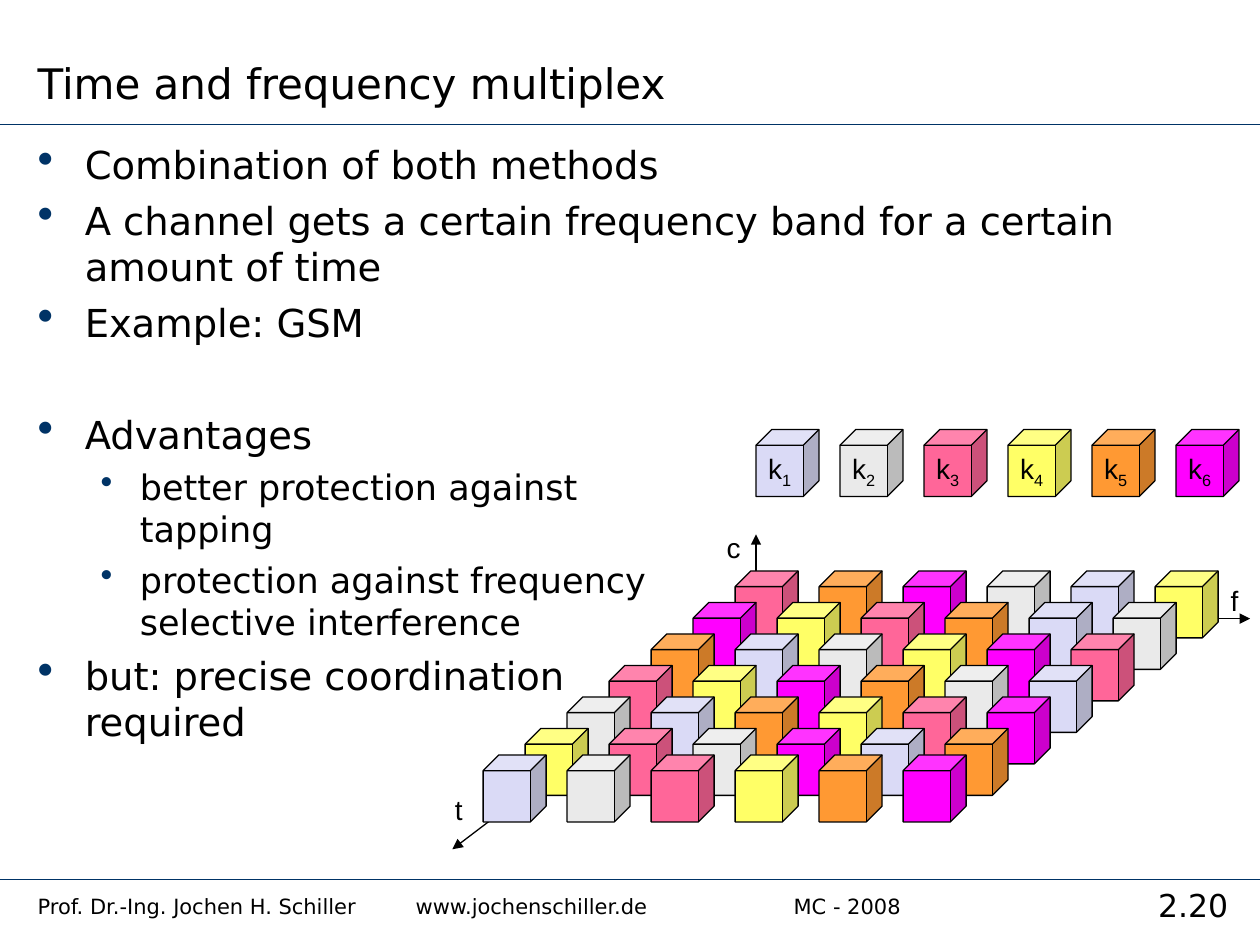
from dataclasses import dataclass

from lxml import etree
from pptx import Presentation
from pptx import util as u
from pptx.dml.color import RGBColor
from pptx.enum import shapes, text
from pptx.oxml import ns


@dataclass(frozen=True)
class Theme:
    ink: str = "000000"
    accent: str = "003366"
    channels: tuple = ("DADAF6", "EAEAEA", "FF6699", "FFFF66", "FF9933", "FF00FF")
    body_font: str = "DejaVu Sans"
    label_font: str = "Arial"
    title_size: float = 24
    bullet_sizes: tuple = (22, 20)
    number_size: float = 18
    label_size: float = 16
    footer_size: float = 12
    rule_width: float = 1
    outline_width: float = 0.75


THEME = Theme()
CUBE_PITCH = 5.08 / 3
CUBE_SIZE = (1.27, 1.35)
CHANNEL_ROWS = ("356214", "643512", "512463", "346521", "215436", "432615", "123456")
BULLETS = (
    (0, "Combination of both methods", 0),
    (0, "A channel gets a certain frequency band for a certain amount of time", 5.5),
    (0, "Example: GSM", 5.5),
    (0, "Advantages", 37.5),
    (1, "better protection against\vtapping", 5),
    (1, "protection against frequency\vselective interference", 5),
    (0, "but: precise coordination\vrequired", 5.5),
)
BULLET_LEVELS = (
    {"margin": 0.95, "hanging": 0.95, "percent": 120},
    {"margin": 2.06, "hanging": 0.79, "percent": 100},
)


def apply(target, **values):
    for name, value in values.items():
        setattr(target, name, value)


def style_font(font, size, name):
    apply(font, size=u.Pt(size), name=name)
    font.color.rgb = RGBColor.from_string(THEME.ink)


def add_element(parent, tag, **attributes):
    element = etree.SubElement(parent, ns.qn(tag))
    for name, value in attributes.items():
        element.set(name, str(value))
    return element


def add_text(slide, box, content, size, name, **frame_format):
    shape = slide.shapes.add_textbox(*map(u.Cm, box))
    apply(shape.text_frame, **{"word_wrap": True, **frame_format})
    paragraph = shape.text_frame.paragraphs[0]
    paragraph.text = content
    style_font(paragraph.font, size, name)
    return shape


def add_line(slide, start, end, color, width, arrow=False):
    connector = slide.shapes.add_connector(
        shapes.MSO_CONNECTOR.STRAIGHT, *map(u.Cm, start + end))
    connector.line.color.rgb = RGBColor.from_string(color)
    connector.line.width = u.Pt(width)
    if arrow:
        add_element(connector.line._get_or_add_ln(), "a:tailEnd", type="triangle")
    add_element(connector._element.spPr, "a:effectLst")


def add_cube(slide, left, top, channel):
    shape = slide.shapes.add_shape(
        shapes.MSO_SHAPE.CUBE, *map(u.Cm, (left, top) + CUBE_SIZE))
    shape.shadow.inherit = False
    shape.fill.solid()
    shape.fill.fore_color.rgb = RGBColor.from_string(THEME.channels[channel - 1])
    shape.line.color.rgb = RGBColor.from_string(THEME.ink)
    shape.line.width = u.Pt(THEME.outline_width)
    return shape


def add_legend(slide, left, top):
    for channel in range(1, len(THEME.channels) + 1):
        cube = add_cube(slide, left + (channel - 1) * CUBE_PITCH, top, channel)
        apply(cube.text_frame, word_wrap=False, vertical_anchor=text.MSO_ANCHOR.MIDDLE)
        paragraph = cube.text_frame.paragraphs[0]
        paragraph.alignment = text.PP_ALIGN.CENTER
        for content, baseline in (("k", 0), (str(channel), -25000)):
            run = paragraph.add_run()
            run.text = content
            style_font(run.font, THEME.label_size, THEME.label_font)
            if baseline:
                run._r.get_or_add_rPr().set("baseline", str(baseline))


def add_cube_field(slide, left, top):
    row_step, front_offset = 2.54 / 4, 3.71
    for row, channels in enumerate(CHANNEL_ROWS):
        row_top = top + min(row * row_step, front_offset)
        for column, channel in enumerate(channels):
            add_cube(slide, left + (column - row / 2) * CUBE_PITCH, row_top, int(channel))


def add_axes(slide):
    origin = (15.24, 12.47)
    for name, end, label_box in (
        ("f", (25.2, 12.47), (24.56, 11.63, 0.66, 0.94)),
        ("t", (9.12, 17.12), (8.92, 15.85, 0.66, 0.94)),
        ("c", (15.24, 10.77), (14.4, 10.57, 0.79, 0.94)),
    ):
        add_line(slide, origin, end, THEME.ink, THEME.outline_width, arrow=True)
        add_text(slide, label_box, name, THEME.label_size, THEME.label_font, word_wrap=False)


def add_bullets(slide, box):
    frame = slide.shapes.add_textbox(*map(u.Cm, box)).text_frame
    frame.word_wrap = True
    for index, (level, content, space) in enumerate(BULLETS):
        paragraph = frame.add_paragraph() if index else frame.paragraphs[0]
        apply(paragraph, text=content, level=level)
        if space:
            paragraph.space_before = u.Pt(space)
        layout = BULLET_LEVELS[level]
        properties = paragraph._p.get_or_add_pPr()
        properties.set("marL", str(u.Cm(layout["margin"])))
        properties.set("indent", str(-u.Cm(layout["hanging"])))
        color = add_element(properties, "a:buClr")
        add_element(color, "a:srgbClr", val=THEME.accent)
        add_element(properties, "a:buSzPct", val=layout["percent"] * 1000)
        add_element(properties, "a:buChar", char="•")
        style_font(paragraph.font, THEME.bullet_sizes[level], THEME.body_font)


def add_footer(slide):
    shape = slide.shapes.add_textbox(*map(u.Cm, (0.51, 17.88, 22.2, 0.84)))
    shape.text_frame.word_wrap = True
    paragraph = shape.text_frame.paragraphs[0]
    paragraph.text = "Prof. Dr.-Ing. Jochen H. Schiller\twww.jochenschiller.de\t\tMC - 2008"
    tabs = add_element(paragraph._p.get_or_add_pPr(), "a:tabLst")
    for position in (7.62, 12.7, 15.24):
        add_element(tabs, "a:tab", pos=u.Cm(position), algn="l")
    style_font(paragraph.font, THEME.footer_size, THEME.body_font)
    number = add_text(slide, (22.71, 17.73, 2.69, 1.12), "2.20",
                      THEME.number_size, THEME.body_font)
    number.text_frame.paragraphs[0].alignment = text.PP_ALIGN.CENTER


def main():
    presentation = Presentation()
    apply(presentation, slide_width=u.Cm(25.4), slide_height=u.Cm(19.05))
    slide = presentation.slides.add_slide(presentation.slide_layouts[6])
    for height in (2.51, 17.73):
        add_line(slide, (0, height), (25.4, height), THEME.accent, THEME.rule_width)
    add_text(slide, (0.51, 0, 16.79, 2.31), "Time and frequency multiplex",
             THEME.title_size, THEME.body_font, vertical_anchor=text.MSO_ANCHOR.BOTTOM)
    add_bullets(slide, (0.51, 2.72, 24.41, 14.86))
    add_axes(slide)
    add_cube_field(slide, 14.82, 11.51)
    add_legend(slide, 15.24, 8.66)
    add_footer(slide)
    presentation.save("out.pptx")


if __name__ == "__main__":
    main()
